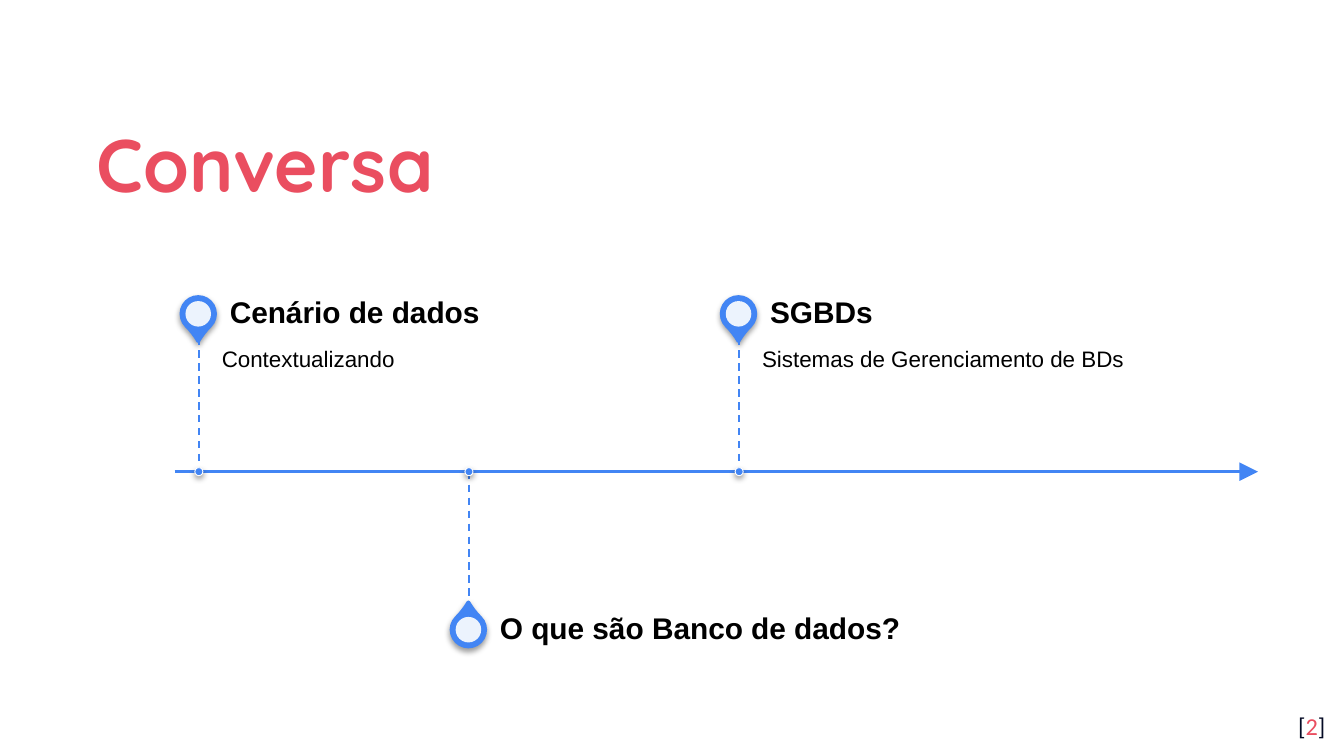
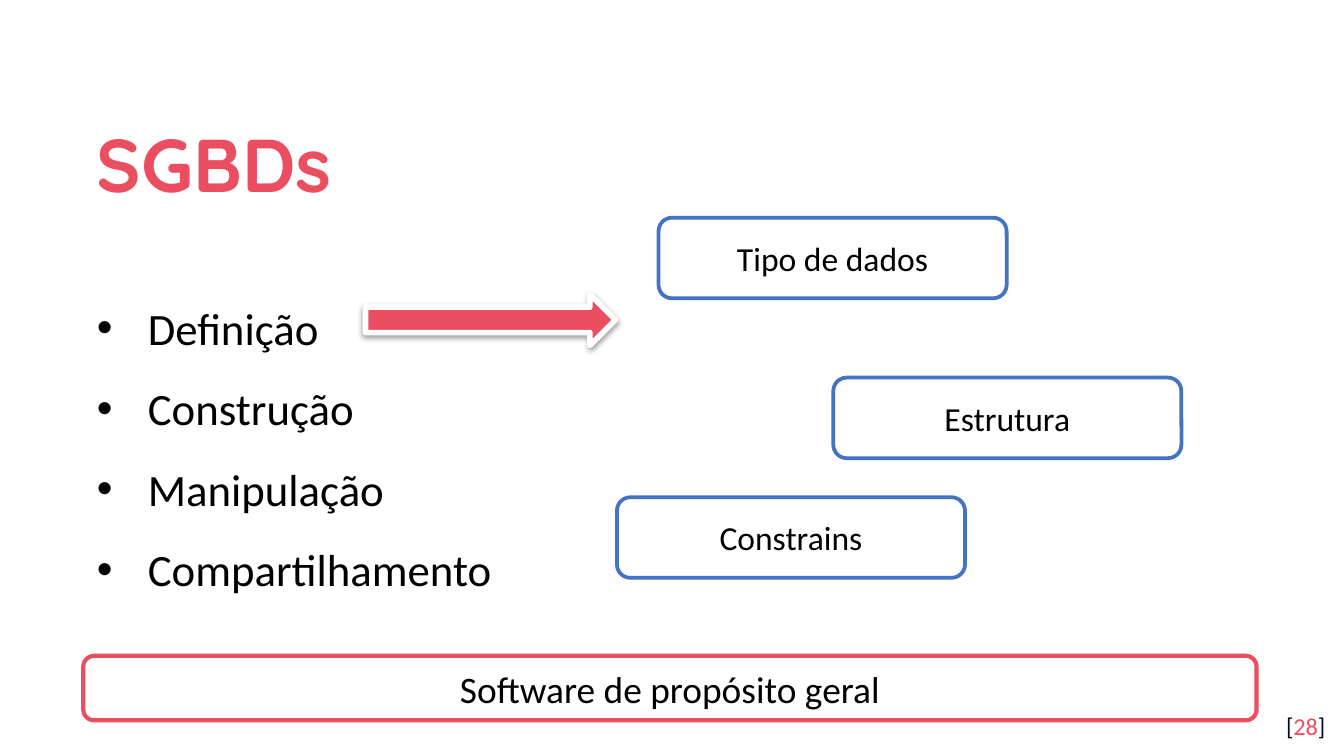
from dataclasses import dataclass
from typing import NamedTuple

from lxml.etree import SubElement
from pptx import Presentation
from pptx.dml.color import RGBColor
from pptx.enum.dml import MSO_LINE
from pptx.enum.shapes import MSO_CONNECTOR, MSO_SHAPE as Preset
from pptx.enum.text import MSO_ANCHOR as Anchor, MSO_AUTO_SIZE, PP_ALIGN as Align
from pptx.oxml.ns import qn
from pptx.util import Pt

EMU_PER_PX = 9144  # 100 px to the inch
PAGE_WIDTH = 1000


@dataclass(frozen=True)
class Theme:
    accent: RGBColor = RGBColor(0xEA, 0x4E, 0x60)
    timeline: RGBColor = RGBColor(0x42, 0x85, 0xF4)
    outline: RGBColor = RGBColor(0x44, 0x72, 0xC4)
    number: RGBColor = RGBColor(0x04, 0x0A, 0x24)
    black: RGBColor = RGBColor(0, 0, 0)
    white: RGBColor = RGBColor(0xFF, 0xFF, 0xFF)
    title_font: str = "Quicksand"
    body_font: str = "Calibri"
    label_font: str = "Arial"
    title_size: int = 40
    list_size: int = 24
    banner_size: int = 20
    concept_size: int = 18
    label_size: int = 16
    number_size: int = 13
    detail_size: int = 12


THEME = Theme()


class Area(NamedTuple):
    left: int
    top: int
    width: int
    height: int


class Style(NamedTuple):
    font: str
    size: int
    color: RGBColor
    bold: bool = False


class Stop(NamedTuple):
    label: str
    detail: str = ""
    above: bool = True


class Concept(NamedTuple):
    text: str
    left: int
    top: int


TITLE = Style(THEME.title_font, THEME.title_size, THEME.accent, True)
LABEL = Style(THEME.label_font, THEME.label_size, THEME.black, True)
DETAIL = Style(THEME.label_font, THEME.detail_size, THEME.black)
ITEM = Style(THEME.body_font, THEME.list_size, THEME.black)
CONCEPT = Style(THEME.body_font, THEME.concept_size, THEME.black)
BANNER = Style(THEME.body_font, THEME.banner_size, THEME.black)

AXIS_Y = 351
FIRST_STOP_X = 148
STOP_PITCH = 201
LABEL_HEIGHT = 35

STOPS = [
    Stop("Cenário de dados", "Contextualizando"),
    Stop("O que são Banco de dados?", above=False),
    Stop("SGBDs", "Sistemas de Gerenciamento de BDs"),
]
OPERATIONS = ["Definição", "Construção", "Manipulação", "Compartilhamento"]
CONCEPTS = [
    Concept("Tipo de dados", 490, 162),
    Concept("Estrutura", 620, 281),
    Concept("Constrains", 459, 370),
]


def px(length: int) -> int:
    return length * EMU_PER_PX


def place(box, area: Area) -> None:
    box.left, box.top, box.width, box.height = map(px, area)


def set_frame(frame, insets: tuple[int, int, int, int], anchor=Anchor.TOP) -> None:
    """Set wrapping, anchor and insets (left, top, right, bottom)."""
    frame.word_wrap = True
    frame.auto_size = MSO_AUTO_SIZE.NONE
    frame.vertical_anchor = anchor
    (frame.margin_left, frame.margin_top,
     frame.margin_right, frame.margin_bottom) = map(px, insets)


def format_run(span, style: Style) -> None:
    span.font.name = style.font
    span.font.size = Pt(style.size)
    span.font.bold = style.bold
    span.font.color.rgb = style.color


def write(para, text: str, style: Style, align=Align.LEFT, spacing: float = 1.0) -> None:
    para.text = text
    para.alignment = align
    para.line_spacing = spacing
    for span in para.runs:
        format_run(span, style)


def add_text(page, area: Area, insets: tuple[int, int, int, int], anchor=Anchor.TOP):
    """Add an empty text box and return its first paragraph."""
    box = page.shapes.add_textbox(*map(px, area))
    set_frame(box.text_frame, insets, anchor)
    return box.text_frame.paragraphs[0]


def add_shape(page, preset, area: Area, fill: RGBColor,
              line: RGBColor | None = None, weight: float = 1, shadow: bool = False):
    shape = page.shapes.add_shape(preset, *map(px, area))
    shape.fill.solid()
    shape.fill.fore_color.rgb = fill
    if line is None:
        shape.line.fill.background()
    else:
        shape.line.color.rgb = line
        shape.line.width = Pt(weight)
    shape.shadow.inherit = False
    if shadow:
        effects = shape._element.spPr.find(qn("a:effectLst"))
        outer = SubElement(effects, qn("a:outerShdw"), blurRad=str(Pt(3.1)),
                           dist=str(Pt(1.6)), dir="5400000", rotWithShape="0")
        color = SubElement(outer, qn("a:srgbClr"), val=str(THEME.black))
        SubElement(color, qn("a:alpha"), val="38000")
    return shape


def add_line(page, start: tuple[int, int], end: tuple[int, int], weight: float,
             dashed: bool = False, arrow: bool = False) -> None:
    line = page.shapes.add_connector(MSO_CONNECTOR.STRAIGHT, *map(px, start + end))
    line.line.color.rgb = THEME.timeline
    line.line.width = Pt(weight)
    if dashed:
        line.line.dash_style = MSO_LINE.DASH
    properties = line._element.spPr
    if arrow:
        SubElement(properties.find(qn("a:ln")), qn("a:tailEnd"),
                   type="triangle", w="lg", len="lg")
    SubElement(properties, qn("a:effectLst"))


def add_page(deck, layout: int, title: str, number: int):
    """Add a slide with the shared title and bracketed page number."""
    page = deck.slides.add_slide(deck.slide_layouts[layout])
    heading = page.shapes.title
    place(heading, Area(62, 70, 877, 92))
    set_frame(heading.text_frame, (10, 10, 10, 10), Anchor.MIDDLE)
    write(heading.text_frame.paragraphs[0], title, TITLE, spacing=1.15)

    para = add_text(page, Area(936, 519, 60, 43), (10, 10, 10, 10))
    para.alignment = Align.RIGHT
    for text, color in (("[", THEME.number), (str(number), THEME.accent),
                        ("]", THEME.number)):
        span = para.add_run()
        span.text = text
        format_run(span, Style(THEME.body_font, THEME.number_size, color))
    return page


def add_stop(page, stop: Stop, x: int) -> None:
    """Draw a pin with its label, its stem and its dot on the axis."""
    top = 216 if stop.above else 451
    pin = add_shape(page, Preset.TEAR, Area(x - 13, top + 5, 25, 25),
                    THEME.timeline, THEME.timeline, 2, shadow=True)
    pin.adjustments[0] = 1.15
    pin.rotation = 135 if stop.above else 315
    hole = add_shape(page, Preset.OVAL, Area(x - 10, top + 8, 19, 19), THEME.white)
    fill_color = hole._element.spPr.find(qn("a:solidFill"))[0]
    SubElement(fill_color, qn("a:alpha"), val="90000")

    if stop.detail:
        para = add_text(page, Area(x + 17, top + LABEL_HEIGHT, 335, 100), (0, 8, 8, 12))
        write(para, stop.detail, DETAIL, spacing=0.9)
    para = add_text(page, Area(x + 17, top, 335, LABEL_HEIGHT), (6, 0, 11, 0),
                    Anchor.MIDDLE)
    write(para, stop.label, LABEL, spacing=0.9)

    pin_tip = top + LABEL_HEIGHT if stop.above else top
    add_line(page, (x, min(pin_tip, AXIS_Y)), (x, max(pin_tip, AXIS_Y)), 1, dashed=True)
    add_shape(page, Preset.OVAL, Area(x - 3, AXIS_Y - 3, 6, 6),
              THEME.timeline, THEME.white, 0.5, shadow=True)


def add_bullet(para) -> None:
    properties = para._p.get_or_add_pPr()
    properties.set("marL", str(px(38)))
    properties.set("indent", str(px(-38)))
    color = SubElement(properties, qn("a:buClr"))
    SubElement(color, qn("a:srgbClr"), val=str(THEME.black))
    SubElement(properties, qn("a:buFont"), typeface=THEME.label_font)
    SubElement(properties, qn("a:buChar"), char="•")


def fill_list(body, items: list[str]) -> None:
    place(body, Area(62, 162, 877, 337))
    frame = body.text_frame
    set_frame(frame, (10, 10, 10, 10), Anchor.MIDDLE)
    for index, item in enumerate(items):
        para = frame.add_paragraph() if index else frame.paragraphs[0]
        add_bullet(para)
        write(para, item, ITEM, spacing=1.15)
        para.space_before = Pt(10 if index else 0)


def add_card(page, text: str, area: Area, style: Style, line: RGBColor,
             weight: float) -> None:
    card = add_shape(page, Preset.ROUNDED_RECTANGLE, area, THEME.white, line, weight)
    set_frame(card.text_frame, (10, 5, 10, 5), Anchor.MIDDLE)
    write(card.text_frame.paragraphs[0], text, style, Align.CENTER)


def build_agenda(deck) -> None:
    page = add_page(deck, 5, "Conversa", 2)
    add_line(page, (130, AXIS_Y), (936, AXIS_Y), 1.5, arrow=True)
    for index, stop in enumerate(STOPS):
        add_stop(page, stop, FIRST_STOP_X + index * STOP_PITCH)


def build_operations(deck) -> None:
    page = add_page(deck, 1, "SGBDs", 28)
    add_card(page, "Software de propósito geral", Area(62, 488, 873, 48),
             BANNER, THEME.accent, 2.25)
    fill_list(page.placeholders[1], OPERATIONS)
    add_shape(page, Preset.RIGHT_ARROW, Area(272, 219, 186, 38),
              THEME.accent, THEME.white, 3, shadow=True)
    for concept in CONCEPTS:
        add_card(page, concept.text, Area(concept.left, concept.top, 259, 60),
                 CONCEPT, THEME.outline, 2)


def main() -> None:
    deck = Presentation()
    deck.slide_width = px(PAGE_WIDTH)
    deck.slide_height = px(PAGE_WIDTH) * 9 // 16
    build_agenda(deck)
    build_operations(deck)
    deck.save("out.pptx")


if __name__ == "__main__":
    main()
